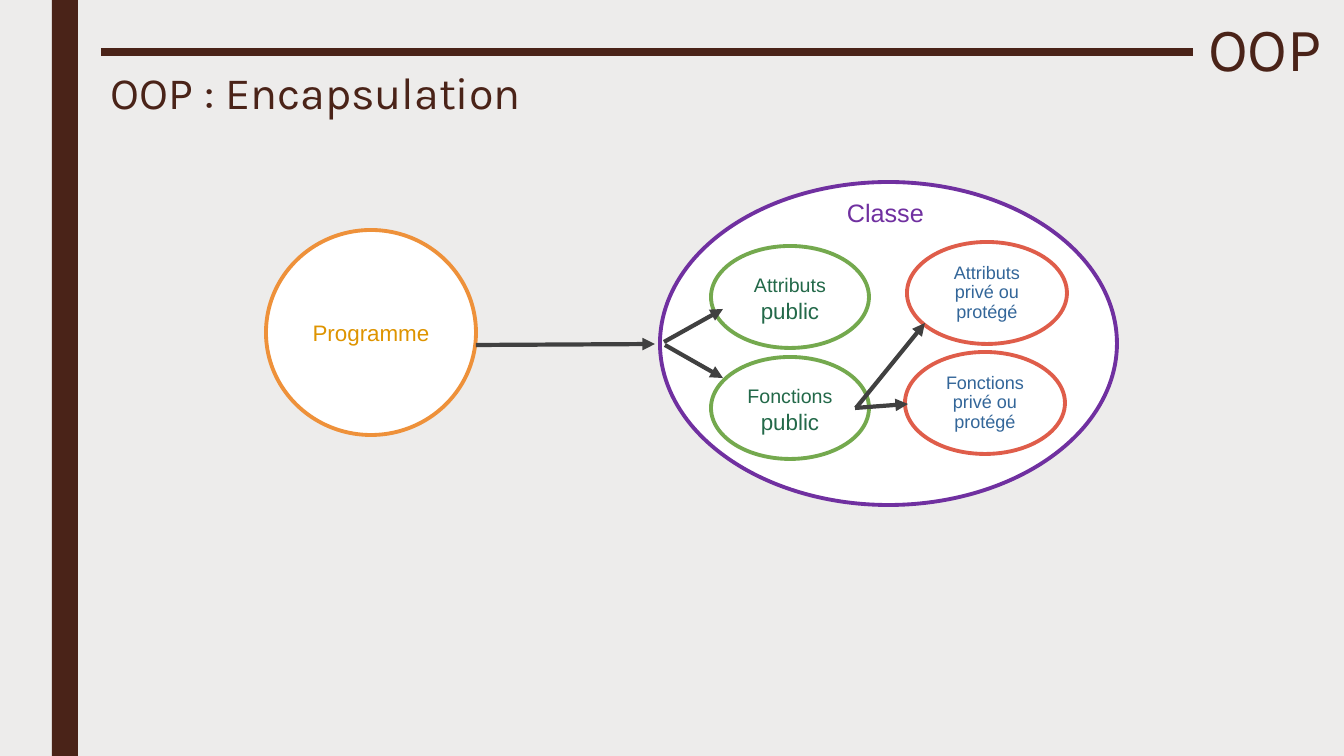
"""Build the slide on encapsulation in object-oriented programming."""
from lxml.etree import SubElement
from pptx import Presentation
from pptx.dml.color import RGBColor
from pptx.enum.shapes import MSO_CONNECTOR as Link, MSO_SHAPE as Kind
from pptx.enum.text import MSO_ANCHOR as Anchor, PP_ALIGN as Align
from pptx.oxml.ns import qn
from pptx.util import Pt

WIDE, HIGH = 1344, 756
SCALE = 12192000 / WIDE
BROWN, GREY, WHITE = "4A2318", "404040", "FFFFFF"
PURPLE, ORANGE, GREEN, RED = "7030A0", "EE913A", "74A94E", "DF5D4A"
GOLD, PINE, BLUE = "DE9400", "236949", "336699"

BAR = (52, 0, 26, HIGH)
RULE = (101, 52, 1193, 52)
TITLE = ("OOP", (1193, 12, 139, 80), 44, 0.89)
LABELS = [
    ("OOP : Encapsulation", (101, 71, 795, 57), 32, "Karla", BROWN, 0.79),
    ("Classe", (837, 192, 105, 41), 18, "Arial", PURPLE, 1),
]


def public(name):
    return [[(name, 14), (" public", 16)]]


def private(name):
    return [[(name, 12.9)], [("privé ou protégé", 12.9)]]


OVALS = [
    ((660, 182, 457, 323), PURPLE, PURPLE, 1, []),
    ((266, 230, 210, 205), ORANGE, GOLD, 1, [[("Programme", 16)]]),
    ((711, 246, 158, 102), GREEN, PINE, 1, public("Attributs")),
    ((711, 357, 158, 102), GREEN, PINE, 1, public("Fonctions")),
    ((907, 242, 160, 102), RED, BLUE, 0.9, private("Attributs")),
    ((905, 352, 160, 102), RED, BLUE, 0.9, private("Fonctions")),
]
ARROWS = [
    (476, 345, 655, 344),
    (855, 408, 908, 404),
    (856, 408, 925, 323),
    (665, 345, 723, 378),
    (664, 342, 723, 309),
]


def px(nums):
    return [round(n * SCALE) for n in nums]


def tint(code):
    return RGBColor.from_string(code)


def write(para, runs, font, color, space, align=Align.LEFT):
    para.alignment = align
    para.line_spacing = space
    for text, size in runs:
        run = para.add_run()
        run.text = text
        run.font.name = font
        run.font.size = Pt(size)
        run.font.color.rgb = tint(color)


def shape(kind, box, fill):
    item = slide.shapes.add_shape(kind, *px(box))
    item.shadow.inherit = False
    item.fill.solid()
    item.fill.fore_color.rgb = tint(fill)
    return item


def oval(box, edge, color, space, paras):
    item = shape(Kind.OVAL, box, WHITE)
    item.line.color.rgb = tint(edge)
    item.line.width = Pt(2.75)
    frame = item.text_frame
    frame.word_wrap = True
    frame.vertical_anchor = Anchor.MIDDLE
    for i, runs in enumerate(paras):
        para = frame.add_paragraph() if i else frame.paragraphs[0]
        write(para, runs, "Arial", color, space, Align.CENTER)


def line(ends, color, width, tip=False):
    item = slide.shapes.add_connector(Link.STRAIGHT, *px(ends))
    item.line.color.rgb = tint(color)
    item.line.width = Pt(width)
    if tip:
        SubElement(item.line._get_or_add_ln(), qn("a:tailEnd"), type="triangle")
    SubElement(item._element.spPr, qn("a:effectLst"))


def label(text, box, size, font, color, space):
    frame = slide.shapes.add_textbox(*px(box)).text_frame
    frame.word_wrap = True
    write(frame.paragraphs[0], [(text, size)], font, color, space)


def head(text, box, size, space):
    item = slide.shapes.title
    item.left, item.top, item.width, item.height = px(box)
    frame = item.text_frame
    frame.vertical_anchor = Anchor.MIDDLE
    write(frame.paragraphs[0], [(text, size)], "Karla", BROWN, space, Align.RIGHT)


deck = Presentation()
deck.slide_width, deck.slide_height = px((WIDE, HIGH))
slide = deck.slides.add_slide(deck.slide_layouts[5])
slide.background.fill.solid()
slide.background.fill.fore_color.rgb = tint("EDECEB")

shape(Kind.RECTANGLE, BAR, BROWN).line.fill.background()
head(*TITLE)
line(RULE, BROWN, 6)
for spec in OVALS:
    oval(*spec)
for spec in LABELS:
    label(*spec)
for ends in ARROWS:
    line(ends, GREY, 3, True)
deck.save("out.pptx")
